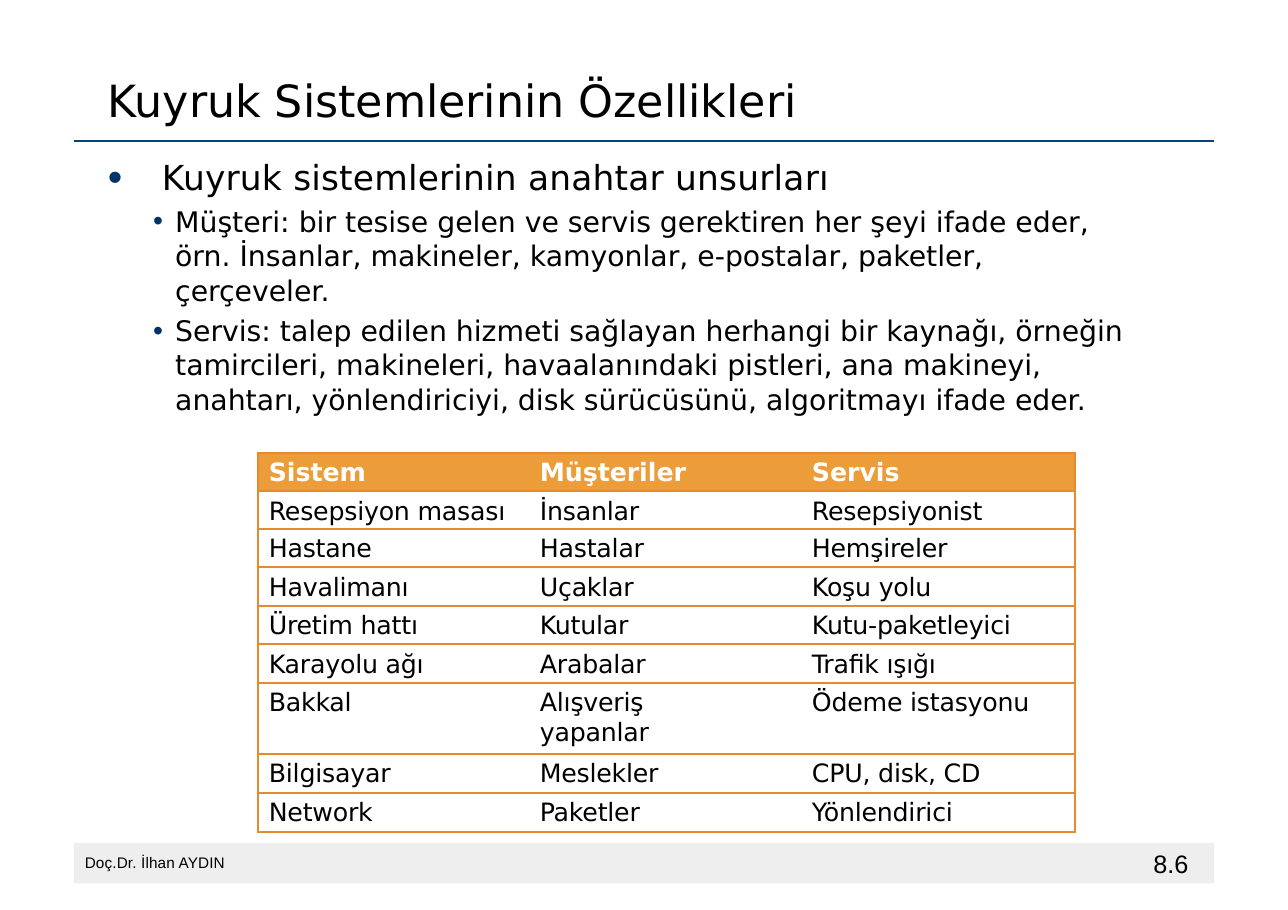
from lxml.etree import SubElement
from pptx import Presentation
from pptx.dml.color import RGBColor
from pptx.enum.shapes import MSO_CONNECTOR, MSO_SHAPE
from pptx.enum.text import MSO_ANCHOR, MSO_AUTO_SIZE, PP_ALIGN
from pptx.oxml import parse_xml
from pptx.oxml.ns import nsdecls, qn
from pptx.util import Inches, Pt

COLORS = {
    "text": "000000",
    "white": "FFFFFF",
    "rule": "004479",
    "bullet": "003366",
    "footer": "EEEEEE",
    "header": "ED9C3A",
    "border": "E78A2D",
}

KEY_ELEMENTS = [
    "Müşteri: bir tesise gelen ve servis gerektiren her şeyi ifade eder, örn. "
    "İnsanlar, makineler, kamyonlar, e-postalar, paketler, çerçeveler.",
    "Servis: talep edilen hizmeti sağlayan herhangi bir kaynağı, örneğin "
    "tamircileri, makineleri, havaalanındaki pistleri, ana makineyi, anahtarı, "
    "yönlendiriciyi, disk sürücüsünü, algoritmayı ifade eder.",
]

SYSTEMS = [
    ("Sistem", "Müşteriler", "Servis"),
    ("Resepsiyon masası", "İnsanlar", "Resepsiyonist"),
    ("Hastane", "Hastalar", "Hemşireler"),
    ("Havalimanı", "Uçaklar", "Koşu yolu"),
    ("Üretim hattı", "Kutular", "Kutu-paketleyici"),
    ("Karayolu ağı", "Arabalar", "Trafik ışığı"),
    ("Bakkal", "Alışveriş yapanlar", "Ödeme istasyonu"),
    ("Bilgisayar", "Meslekler", "CPU, disk, CD"),
    ("Network", "Paketler", "Yönlendirici"),
]
COLUMN_WIDTHS = [2.29, 2.26, 2.87]
COLUMN_INDENTS = [0.1, 0.27, 0.48]
ROW_HEIGHTS = [0.35, 0.34, 0.35, 0.35, 0.35, 0.35, 0.64, 0.36, 0.35]


def rgb(name):
    return RGBColor.from_string(COLORS[name])


def write(paragraph, text, size, font="DejaVu Sans", color="text", bold=False,
          left=0, hang=0, level=0, before=0, spacing=1.0, tracking=0,
          bullet_size=None):
    run = paragraph.add_run()
    run.text = text
    run.font.size = Pt(size)
    run.font.name = font
    run.font.bold = bold
    run.font.color.rgb = rgb(color)
    if tracking:
        run.font._element.set("spc", str(round(tracking * 100)))
    paragraph.alignment = PP_ALIGN.LEFT
    paragraph.level = level
    paragraph.space_before = Pt(before)
    paragraph.line_spacing = spacing
    properties = paragraph._p.get_or_add_pPr()
    properties.set("marL", str(Inches(left)))
    properties.set("indent", str(Inches(-hang)))
    if bullet_size:
        bullet_color = SubElement(properties, qn("a:buClr"))
        SubElement(bullet_color, qn("a:srgbClr"), val=COLORS["bullet"])
        SubElement(properties, qn("a:buSzPct"), val=str(bullet_size * 1000))
        SubElement(properties, qn("a:buFont"), typeface="Arial")
        SubElement(properties, qn("a:buChar"), char="•")


class QueueSlide:
    def __init__(self, presentation):
        self.slide = presentation.slides.add_slide(presentation.slide_layouts[5])
        self.shapes = self.slide.shapes

    def set_frame(self, frame, top_inset=0):
        frame.word_wrap = True
        frame.auto_size = MSO_AUTO_SIZE.NONE
        frame.vertical_anchor = MSO_ANCHOR.TOP
        frame.margin_left = frame.margin_right = frame.margin_bottom = 0
        frame.margin_top = Inches(top_inset)
        return frame

    def title(self, text, left, top, width, height):
        heading = self.shapes.title
        heading.left, heading.top = Inches(left), Inches(top)
        heading.width, heading.height = Inches(width), Inches(height)
        frame = self.set_frame(heading.text_frame, 0.01)
        write(frame.paragraphs[0], text, 29, left=0.01, before=0.9, tracking=-0.05)

    def text_box(self, left, top, width, height, top_inset=0):
        box = self.shapes.add_textbox(
            Inches(left), Inches(top), Inches(width), Inches(height))
        return self.set_frame(box.text_frame, top_inset)

    def bar(self, left, top, width, height, color):
        band = self.shapes.add_shape(
            MSO_SHAPE.RECTANGLE, Inches(left), Inches(top), Inches(width), Inches(height))
        band.shadow.inherit = False
        band.fill.solid()
        band.fill.fore_color.rgb = rgb(color)
        band.line.fill.background()

    def rule(self, left, top, width, color, weight):
        rule = self.shapes.add_connector(
            MSO_CONNECTOR.STRAIGHT, Inches(left), Inches(top),
            Inches(left + width), Inches(top))
        rule.line.color.rgb = rgb(color)
        rule.line.width = Pt(weight)
        SubElement(rule._element.spPr, qn("a:effectLst"))

    def border(self, cell, sides):
        properties = cell._tc.get_or_add_tcPr()
        for position, side in enumerate("LRTB"):
            paint = (f'<a:solidFill><a:srgbClr val="{COLORS["border"]}"/></a:solidFill>'
                     if side in sides else "<a:noFill/>")
            properties.insert(position, parse_xml(
                f'<a:ln{side} {nsdecls("a")} w="{Pt(1.5)}">{paint}</a:ln{side}>'))

    def table(self, records, left, top):
        table = self.shapes.add_table(
            len(records), len(COLUMN_WIDTHS), Inches(left), Inches(top),
            Inches(sum(COLUMN_WIDTHS)), Inches(sum(ROW_HEIGHTS))).table
        table.horz_banding = False
        table.first_row = False
        for column, width in zip(table.columns, COLUMN_WIDTHS):
            column.width = Inches(width)
        for row, height in zip(table.rows, ROW_HEIGHTS):
            row.height = Inches(height)
        edges = ["LTB", "TB", "RTB"]
        for r, record in enumerate(records):
            for c, entry in enumerate(record):
                cell = table.cell(r, c)
                is_header = r == 0
                cell.margin_left = cell.margin_right = cell.margin_bottom = 0
                cell.margin_top = Inches(0.05)
                if is_header:
                    cell.fill.solid()
                    cell.fill.fore_color.rgb = rgb("header")
                else:
                    cell.fill.background()
                self.border(cell, edges[c])
                write(cell.text_frame.paragraphs[0], entry, 16.5, bold=is_header,
                      color="white" if is_header else "text",
                      left=COLUMN_INDENTS[c], before=3.8,
                      tracking=0 if is_header else -0.1)


def main():
    presentation = Presentation()
    presentation.slide_width = Inches(11.69)
    presentation.slide_height = Inches(8.26)
    page = QueueSlide(presentation)

    page.bar(0.67, 7.65, 10.35, 0.37, "footer")
    page.rule(0.67, 1.28, 10.35, "rule", 1.04)
    page.title("Kuyruk Sistemlerinin Özellikleri", 0.97, 0.65, 7.46, 0.51)

    page_number = page.text_box(10.46, 7.71, 0.5, 0.29)
    write(page_number.paragraphs[0], "8.6", 16.5, font="Arial", left=0.01,
          spacing=Pt(19.3))
    author = page.text_box(0.76, 7.74, 3.09, 0.19)
    write(author.paragraphs[0], "Doç.Dr. İlhan AYDIN", 10, font="Arial", left=0.01,
          before=0.3, tracking=0.1)

    body = page.text_box(0.97, 1.33, 9.38, 2.78, top_inset=0.09)
    write(body.paragraphs[0], "Kuyruk sistemlerinin anahtar unsurları", 22.5,
          left=0.5, hang=0.49, before=6.2, tracking=0.1, bullet_size=120)
    for element in KEY_ELEMENTS:
        write(body.add_paragraph(), element, 18.5, left=0.62, hang=0.2, level=1,
              before=4, spacing=1.01, bullet_size=100)

    page.table(SYSTEMS, 2.34, 4.11)
    presentation.save("out.pptx")


if __name__ == "__main__":
    main()
